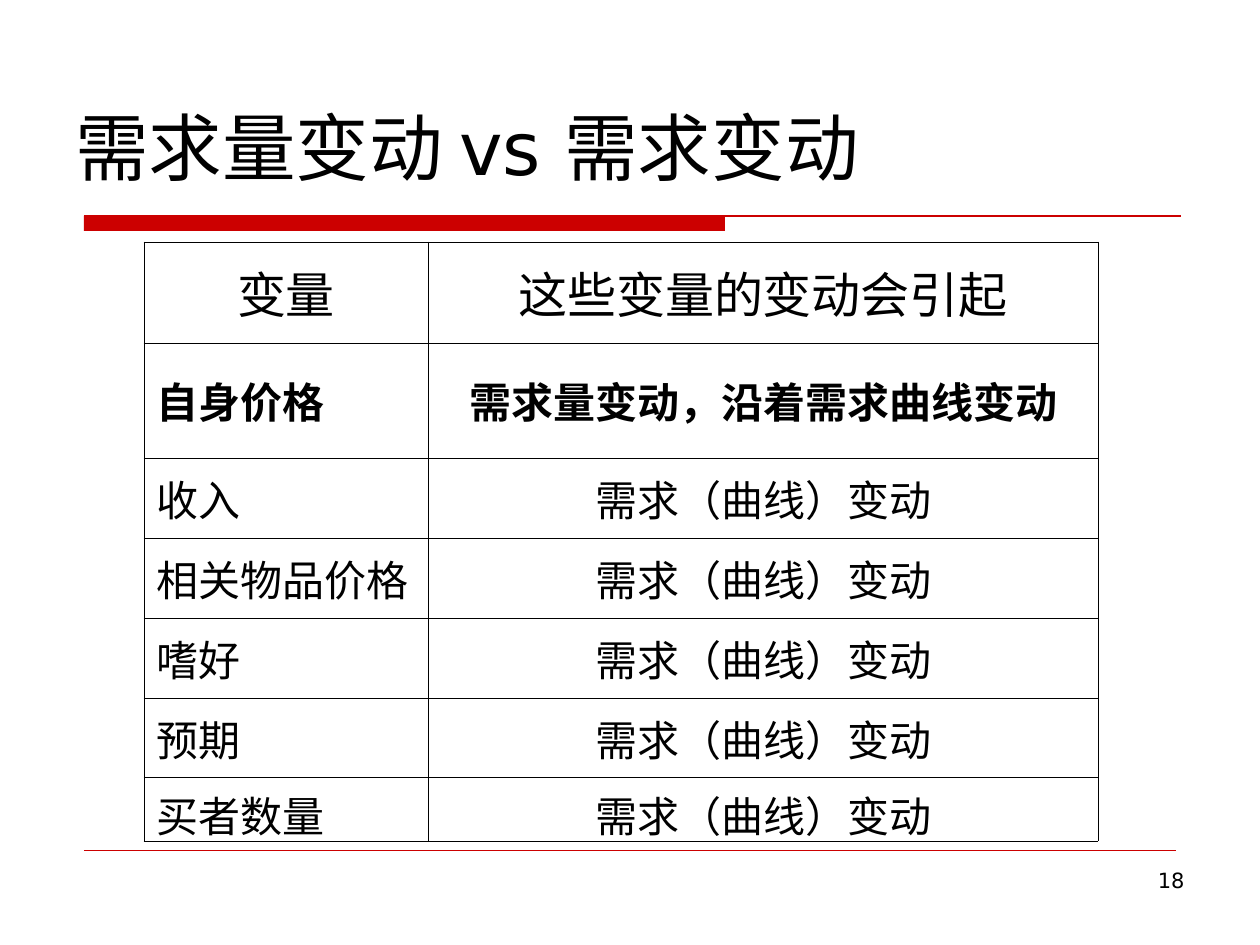
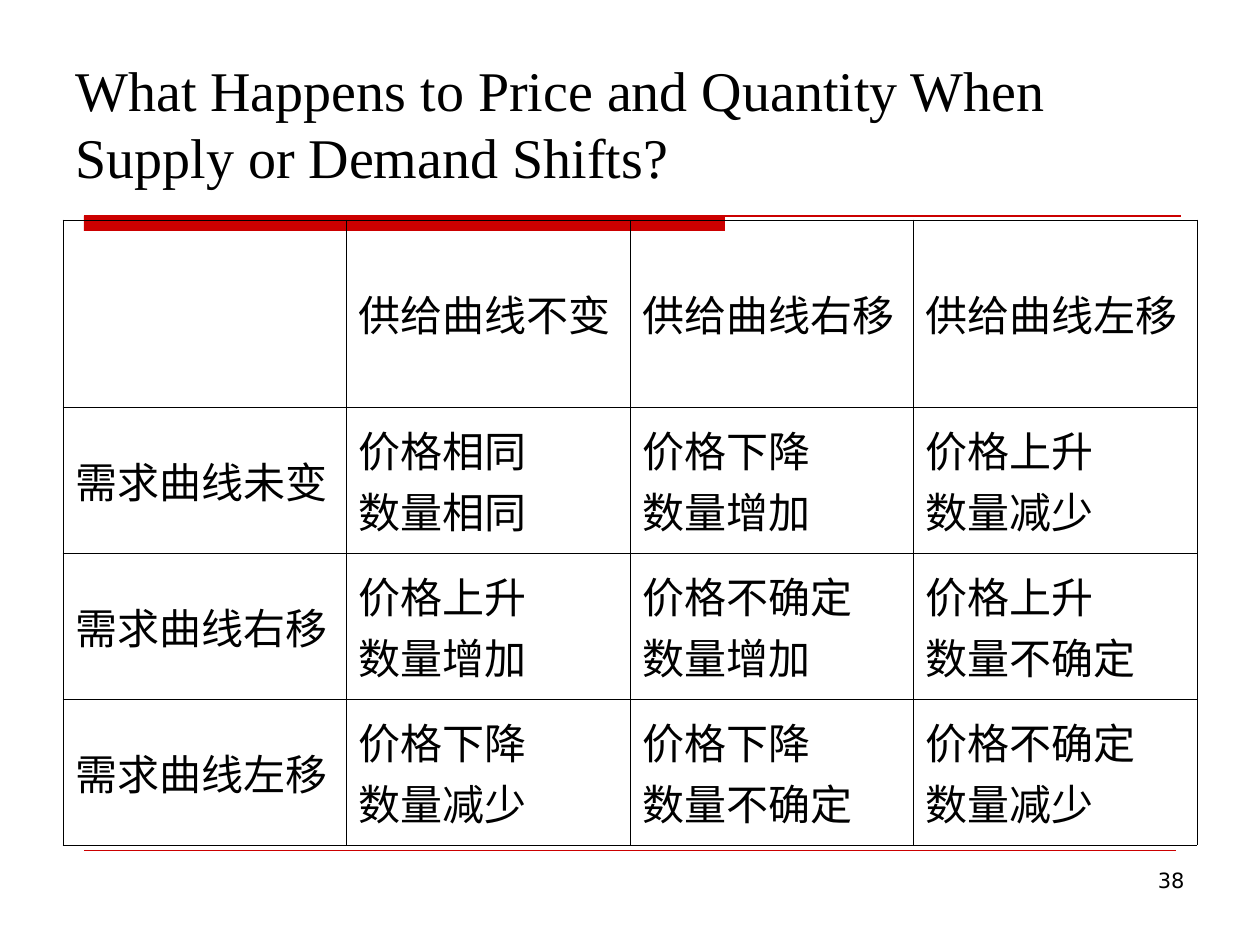
"""Build two slides that compare shifts of supply and demand in tables."""
from lxml import etree
from pptx import Presentation
from pptx.dml.color import RGBColor
from pptx.enum.shapes import MSO_CONNECTOR, MSO_SHAPE
from pptx.enum.text import MSO_ANCHOR, PP_ALIGN
from pptx.oxml.ns import qn
from pptx.util import Pt

LEFT, CENTER, RIGHT = PP_ALIGN.LEFT, PP_ALIGN.CENTER, PP_ALIGN.RIGHT
TOP, MIDDLE, BOTTOM = MSO_ANCHOR.TOP, MSO_ANCHOR.MIDDLE, MSO_ANCHOR.BOTTOM
RECT, STRAIGHT = MSO_SHAPE.RECTANGLE, MSO_CONNECTOR.STRAIGHT
COLORS = {"ink": "000000", "red": "CC0000"}
SANS, HAN, SERIF = "DejaVu Sans", "Noto Sans CJK SC", "Times New Roman"


def px(*nums):
    """Turn px into EMU at 126 px to the inch."""
    return [round(n * 914400 / 126) for n in nums]


def write(box, text, size=24, font=HAN, bold=False, align=LEFT, anchor=TOP):
    """Fill a text box or a table cell, one paragraph a line."""
    frame = box.text_frame
    frame.word_wrap = True
    frame.text = text
    box_part = frame if hasattr(box, "shape_type") else box
    box_part.vertical_anchor = anchor
    for par in frame.paragraphs:
        par.alignment = align
        for run in par.runs:
            run.font.size = Pt(size)
            run.font.bold = bold
            run.font.name = font
            run.font.color.rgb = RGBColor.from_string(COLORS["ink"])
            east = etree.SubElement(run.font._element, qn("a:ea"))
            east.set("typeface", HAN)


shift = "需求（曲线）变动"
factors = ["收入", "相关物品价格", "嗜好", "预期", "买者数量"]
pages = [
    {
        "title": "需求量变动 vs 需求变动", "size": 42, "face": SANS, "num": "18",
        "at": (144, 242), "cols": [284, 670],
        "rows": [101, 115] + [80] * 4 + [63],
        "font": HAN, "head": 28, "bold": 1, "aligns": [LEFT, CENTER],
        "cells": [["变量", "这些变量的变动会引起"],
                  ["自身价格", "需求量变动，沿着需求曲线变动"]]
                 + [[name, shift] for name in factors],
    },
    {
        "title": "What Happens to Price and Quantity When Supply or Demand Shifts?",
        "size": 32, "face": SERIF, "num": "38",
        "at": (63, 220), "cols": [283, 284] * 2, "rows": [187] + [146] * 3,
        "font": SERIF, "head": 24, "bold": None, "aligns": [LEFT] * 4,
        "cells": [
            ["", "供给曲线不变", "供给曲线右移", "供给曲线左移"],
            ["需求曲线未变", "价格相同\n数量相同", "价格下降\n数量增加", "价格上升\n数量减少"],
            ["需求曲线右移", "价格上升\n数量增加", "价格不确定\n数量增加", "价格上升\n数量不确定"],
            ["需求曲线左移", "价格下降\n数量减少", "价格下降\n数量不确定", "价格不确定\n数量减少"],
        ],
    },
]

deck = Presentation()
deck.slide_width, deck.slide_height = px(1260, 945)
red = RGBColor.from_string(COLORS["red"])

for page in pages:
    shapes = deck.slides.add_slide(deck.slide_layouts[6]).shapes

    band = shapes.add_shape(RECT, *px(84, 216, 641, 15))
    band.shadow.inherit = False
    band.fill.solid()
    band.fill.fore_color.rgb = red
    band.line.fill.background()
    for end, y, width in [(1181, 216, 0.75), (1176, 850, 0.25)]:
        rule = shapes.add_connector(STRAIGHT, *px(84, y, end, y))
        rule.line.color.rgb = red
        rule.line.width = Pt(width)
        etree.SubElement(rule._element.spPr, qn("a:effectLst"))

    title = shapes.add_textbox(*px(63, 38, 1134, 158))
    write(title, page["title"], size=page["size"], font=page["face"], anchor=BOTTOM)

    cols, rows = page["cols"], page["rows"]
    spot = px(*page["at"], sum(cols), sum(rows))
    table = shapes.add_table(len(rows), len(cols), *spot).table
    table.first_row = table.horz_banding = False
    for col, width in zip(table.columns, px(*cols)):
        col.width = width
    for row, height in zip(table.rows, px(*rows)):
        row.height = height
    for r, line in enumerate(page["cells"]):
        for c, text in enumerate(line):
            cell = table.cell(r, c)
            write(cell, text, size=page["head"] if r == 0 else 24,
                  font=page["font"], bold=r == page["bold"], anchor=MIDDLE,
                  align=page["aligns"][c] if r else page["aligns"][-1])
            props = cell._tc.get_or_add_tcPr()
            for side in "LRTB":
                edge = etree.SubElement(props, qn("a:ln" + side), w=str(Pt(0.45)))
                fill = etree.SubElement(edge, qn("a:solidFill"))
                etree.SubElement(fill, qn("a:srgbClr"), val=COLORS["ink"])
            cell.fill.background()

    number = shapes.add_textbox(*px(903, 861, 294, 63))
    write(number, page["num"], size=12, font=SANS, align=RIGHT)

deck.save("out.pptx")
